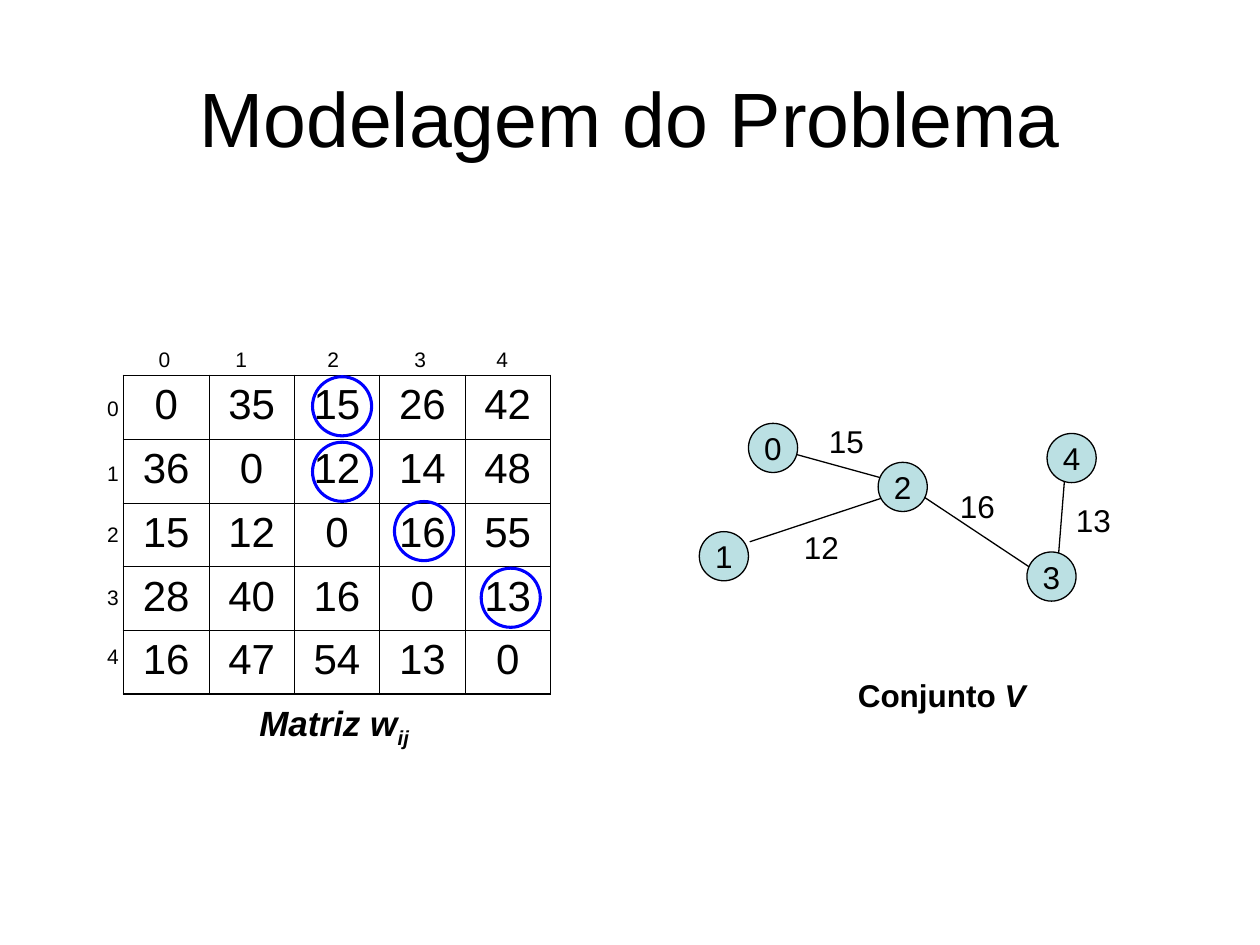
from lxml.etree import SubElement
from pptx import Presentation
from pptx.dml.color import RGBColor
from pptx.enum.shapes import MSO_CONNECTOR, MSO_SHAPE
from pptx.enum.text import MSO_ANCHOR, PP_ALIGN
from pptx.oxml import parse_xml
from pptx.oxml.ns import nsdecls, qn
from pptx.util import Pt

BLACK = RGBColor(0x00, 0x00, 0x00)
BLUE = RGBColor(0x00, 0x00, 0xFF)
PALE_TEAL = RGBColor(0xBB, 0xE0, 0xE3)
FONT = "Arial"
THIN, THICK = 0.45, 1.08

WEIGHTS = [
    [0, 35, 15, 26, 42],
    [36, 0, 12, 14, 48],
    [15, 12, 0, 16, 55],
    [28, 40, 16, 0, 13],
    [16, 47, 54, 13, 0],
]
# Offsets from the top left corner of the matrix
COLUMN_INDEX_X = [12.9, 56.8, 109.4, 159.1, 205.9]
ROW_INDEX_Y = [7.9, 45.3, 79.9, 115.9, 149.7]
MARKS = [(108, 0.7), (108, 38.1), (154.8, 72), (204.4, 110.1)]

# Offsets from the top left corner of the graph
NODES = [(28.1, 4.3), (0, 66.2), (102.2, 26.6), (187.2, 77.8), (198.7, 10.1)]
# Start, end, weight, place of the weight
EDGES = [
    ((28.8, 72), (113.8, 43.9), 12, (52.6, 60.5)),
    ((51.1, 20.9), (113.8, 38.2), 15, (67, 0)),
    ((124.6, 43.9), (193, 89.3), 16, (141.8, 37.4)),
    ((209.5, 26.6), (204.5, 89.3), 13, (208.1, 45.4)),
]


def format_run(r, size, bold=False, italic=False):
    r.font.name = FONT
    r.font.size = Pt(size)
    r.font.bold = bold
    r.font.italic = italic
    r.font.color.rgb = BLACK


def add_text(slide, x, y, w, h, text, size, wrap=False):
    box = slide.shapes.add_textbox(Pt(x), Pt(y), Pt(w), Pt(h))
    tf = box.text_frame
    tf.word_wrap = wrap
    tf.text = str(text)
    format_run(tf.paragraphs[0].runs[0], size)
    return tf


def add_circle(slide, x, y, size, color, width, fill=None):
    sp = slide.shapes.add_shape(MSO_SHAPE.OVAL, Pt(x), Pt(y), Pt(size), Pt(size))
    sp.shadow.inherit = False
    sp.line.color.rgb = color
    sp.line.width = Pt(width)
    if fill is None:
        sp.fill.background()
    else:
        sp.fill.solid()
        sp.fill.fore_color.rgb = fill
    return sp


def set_borders(cell, widths):
    """Set the border widths in the order left, right, top, bottom."""
    tcPr = cell._tc.get_or_add_tcPr()
    for i, (side, width) in enumerate(zip("LRTB", widths)):
        tcPr.insert(i, parse_xml(
            f'<a:ln{side} {nsdecls("a")} w="{Pt(width)}"><a:solidFill>'
            f'<a:srgbClr val="{BLACK}"/></a:solidFill></a:ln{side}>'))


def add_title(slide, x, y, w, h):
    tf = add_text(slide, x, y, w, h, "Modelagem do Problema", 44, wrap=True)
    tf.vertical_anchor = MSO_ANCHOR.MIDDLE
    tf.paragraphs[0].alignment = PP_ALIGN.CENTER


def add_matrix(slide, x, y, w, h):
    n = len(WEIGHTS)
    table = slide.shapes.add_table(n, n, Pt(x), Pt(y), Pt(w), Pt(h)).table
    table.first_row = table.horz_banding = False
    for i, row in enumerate(WEIGHTS):
        table.rows[i].height = Pt(h / n)
        table.columns[i].width = Pt(w / n)
        for j, weight in enumerate(row):
            cell = table.cell(i, j)
            cell.fill.background()
            cell.text = str(weight)
            p = cell.text_frame.paragraphs[0]
            p.alignment = PP_ALIGN.CENTER
            format_run(p.runs[0], 24)
            outer = (j == 0, j == n - 1, i == 0, i == n - 1)
            set_borders(cell, [THICK if edge else THIN for edge in outer])

    for i, (dx, dy) in enumerate(zip(COLUMN_INDEX_X, ROW_INDEX_Y)):
        add_text(slide, x - 16.4, y + dy, 21, 21.6, i, 12)
        add_text(slide, x + dx, y - 20.2, 21, 21.6, i, 12)
    for dx, dy in MARKS:
        add_circle(slide, x + dx, y + dy, 33.8, BLUE, 1.75)

    tf = add_text(slide, x + 70.5, y + h + 0.6, 100, 34.6, "Matriz w", 20)
    subscript = tf.paragraphs[0].add_run()
    subscript.text = "ij"
    for r in tf.paragraphs[0].runs:
        format_run(r, 20, bold=True, italic=True)
    subscript.font._element.set("baseline", "-25000")


def add_graph(slide, x, y):
    for (x1, y1), (x2, y2), weight, (dx, dy) in EDGES:
        line = slide.shapes.add_connector(
            MSO_CONNECTOR.STRAIGHT,
            Pt(x + x1), Pt(y + y1), Pt(x + x2), Pt(y + y2))
        line.line.color.rgb = BLACK
        line.line.width = Pt(0.75)
        SubElement(line._element.spPr, qn("a:effectLst"))
        add_text(slide, x + dx, y + dy, 34.6, 28.8, weight, 18)

    for i, (dx, dy) in enumerate(NODES):
        sp = add_circle(slide, x + dx, y + dy, 28.1, BLACK, 0.75, PALE_TEAL)
        tf = sp.text_frame
        tf.word_wrap = False
        tf.vertical_anchor = MSO_ANCHOR.MIDDLE
        tf.text = str(i)
        p = tf.paragraphs[0]
        p.alignment = PP_ALIGN.CENTER
        format_run(p.runs[0], 18)

    tf = add_text(slide, x + 83.5, y + 145.4, 110.2, 28.8, "Conjunto ", 18)
    p = tf.paragraphs[0]
    p.runs[0].font.bold = True
    r = p.add_run()
    r.text = "V"
    format_run(r, 18, bold=True, italic=True)


def main():
    prs = Presentation()
    prs.slide_width, prs.slide_height = Pt(720), Pt(540)
    slide = prs.slides.add_slide(prs.slide_layouts[6])
    add_title(slide, 36, 21.6, 648, 90)
    add_matrix(slide, 70.6, 214.6, 244, 182.2)
    add_graph(slide, 399.6, 237.6)
    prs.save("out.pptx")


if __name__ == "__main__":
    main()
